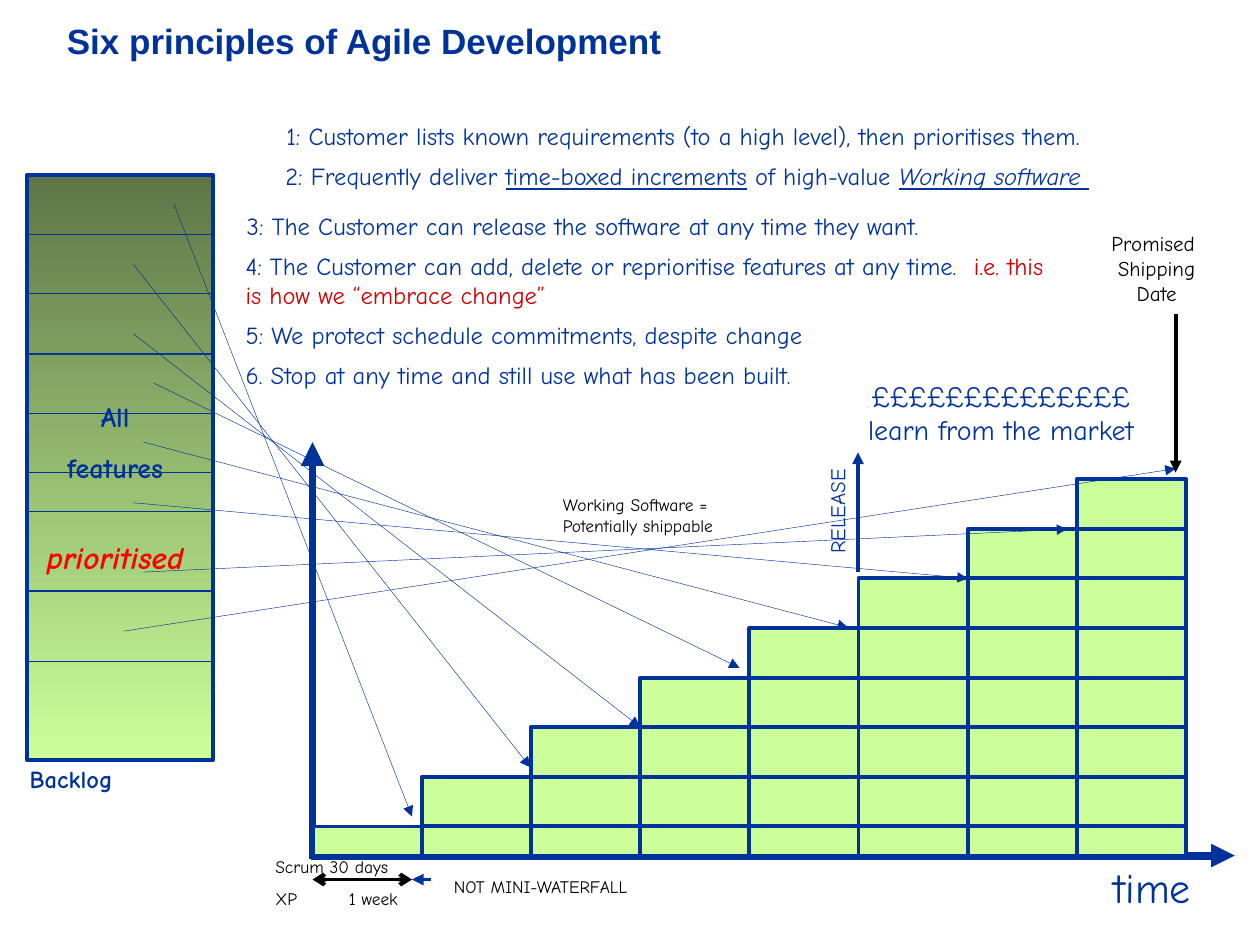
from lxml import etree
from pptx import Presentation
from pptx.dml.color import RGBColor
from pptx.enum.shapes import MSO_CONNECTOR, MSO_SHAPE
from pptx.enum.text import MSO_ANCHOR, MSO_AUTO_SIZE, PP_ALIGN
from pptx.oxml.ns import qn
from pptx.util import Pt

STRAIGHT = MSO_CONNECTOR.STRAIGHT
RECTANGLE = MSO_SHAPE.RECTANGLE
LEFT, CENTER = PP_ALIGN.LEFT, PP_ALIGN.CENTER
MIDDLE = MSO_ANCHOR.MIDDLE
GROW = MSO_AUTO_SIZE.SHAPE_TO_FIT_TEXT

BLUE, GREEN, DARK_GREEN = "003399", "CCFF99", "5E7647"
BLACK, RED, DARK_RED = "000000", "FF0000", "CC0000"


def color(hex_string):
    return RGBColor.from_string(hex_string)


def points(*lengths):
    return [Pt(length) for length in lengths]


class SlideBuilder:
    def __init__(self, slide, font="Comic Neue"):
        self.slide = slide
        self.font = font

    def add_text(self, paragraph, text, **format_values):
        """Add one run for each line of the text, with line breaks between them."""
        values = {"name": self.font, "color": BLUE, **format_values}
        run_color = color(values.pop("color"))
        values["size"] = Pt(values["size"])
        for index, line in enumerate(text.split("\n")):
            if index:
                paragraph.add_line_break()
            run = paragraph.add_run()
            run.text = line
            run.font.color.rgb = run_color
            for name, value in values.items():
                setattr(run.font, name, value)

    def fill_frame(self, frame, paragraphs, align=LEFT, space=0, **format_values):
        """Write paragraphs, each a list of (text, format values) runs or a plain string."""
        for index, runs in enumerate(paragraphs):
            paragraph = frame.add_paragraph() if index else frame.paragraphs[0]
            paragraph.alignment = align
            paragraph.space_before = Pt(space)
            if isinstance(runs, str):
                runs = [(runs, {})]
            for text, changes in runs:
                self.add_text(paragraph, text, **{**format_values, **changes})

    def title(self, box, text, **format_values):
        title = self.slide.shapes.title
        title.left, title.top, title.width, title.height = points(*box)
        title.text_frame.vertical_anchor = MIDDLE
        self.fill_frame(title.text_frame, [text], **format_values)
        title.text_frame.paragraphs[0].line_spacing = 0.9

    def text(self, box, paragraphs, rotation=0, **format_values):
        shape = self.slide.shapes.add_textbox(*points(*box))
        shape.rotation = rotation
        shape.text_frame.word_wrap = True
        shape.text_frame.auto_size = GROW
        self.fill_frame(shape.text_frame, paragraphs, **format_values)
        return shape

    def rectangle(self, box, fill=GREEN, gradient=None):
        shape = self.slide.shapes.add_shape(RECTANGLE, *points(*box))
        shape.shadow.inherit = False
        if gradient:
            shape.fill.gradient()
            shape.fill.gradient_angle = 270
            for stop, stop_color in zip(shape.fill.gradient_stops, gradient):
                stop.color.rgb = color(stop_color)
        else:
            shape.fill.solid()
            shape.fill.fore_color.rgb = color(fill)
        shape.line.color.rgb = color(BLUE)
        shape.line.width = Pt(2.25)
        return shape

    def line(self, start, end, width=2.25, line_color=BLUE, head=None, tail=None):
        connector = self.slide.shapes.add_connector(STRAIGHT, *points(*start, *end))
        connector.line.color.rgb = color(line_color)
        connector.line.width = Pt(width)
        outline = connector.line._get_or_add_ln()
        for tag, kind in (("a:headEnd", head), ("a:tailEnd", tail)):
            if kind:
                etree.SubElement(outline, qn(tag), type=kind)
        etree.SubElement(connector._element.spPr, qn("a:effectLst"))


def add_tab_stop(paragraph, position):
    tabs = etree.SubElement(paragraph._p.get_or_add_pPr(), qn("a:tabLst"))
    etree.SubElement(tabs, qn("a:tab"), pos=str(Pt(position)), algn="l")


def draw_backlog(builder):
    backlog = builder.rectangle((15.4, 100, 106.5, 334.5), gradient=(DARK_GREEN, GREEN))
    frame = backlog.text_frame
    frame.vertical_anchor = MIDDLE
    frame.margin_bottom = Pt(33)
    builder.fill_frame(frame, ["All ", "features "], align=CENTER, space=10, size=16, bold=True)
    builder.text((5, 433, 71.4, 24.5), ["Backlog"], align=CENTER, size=14, bold=True)


def draw_staircase(builder, steps=8):
    left, base_top, base_height = 178.6, 472.3, 17
    cell_width, cell_height = 62.4, 28.35
    builder.line((177.8, 488.9), (705.6, 488.9), 4.5, tail="triangle")
    builder.line((178.6, 491), (178.6, 252.7), 4.5, tail="triangle")
    for row in range(steps):
        height = cell_height if row else base_height
        for column in range(row, steps):
            builder.rectangle((left + column * cell_width, base_top - row * cell_height,
                               cell_width, height))


def draw_feature_arrows(builder):
    """Link each backlog feature to the increment that delivers it."""
    arrows = [
        ((99.4, 116.6), (235.4, 466.6)), ((76.3, 151.2), (303.1, 438.5)),
        ((76.3, 190.8), (365.8, 415.4)), ((87.8, 218.9), (422.6, 381.6)),
        ((82.1, 252.7), (484.6, 358.6)), ((76.3, 287.3), (553, 330.5)),
        ((82.1, 326.9), (609.8, 302.4)), ((70.6, 360.7), (671.8, 267.8)),
    ]
    for start, end in arrows:
        builder.line(start, end, 0.25, tail="triangle")
    for y in (133.9, 167.9, 202.3, 236.2, 270, 292.3, 337.7, 378):
        builder.line((14.4, y), (121.7, y), 0.75)


def draw_principles(builder):
    principles = [
        ((156.5, 65.5, 480, 24.5), [
            ("1: Customer lists known requirements (to a high level), then prioritises them.", {})]),
        ((156, 88.6, 490, 24.5), [
            ("2: Frequently deliver ", {}), ("time-boxed increments", {"underline": True}),
            (" of high-value ", {}), ("Working software ", {"italic": True, "underline": True})]),
        ((133.9, 117, 555, 24.5), [
            ("3: The Customer can release the software at any time they want.", {})]),
        ((133.2, 139.7, 475.9, 41), [
            ("4: The Customer can add, delete or reprioritise features at any time.  ", {}),
            ("i.e. this is how we “embrace change”", {"color": DARK_RED})]),
        ((133.2, 179.3, 580, 24.5), [
            ("5: We protect schedule commitments, despite change", {})]),
        ((133.2, 202.3, 580, 24.5), [
            ("6. Stop at any time and still use what has been built.", {})]),
    ]
    for box, runs in principles:
        builder.text(box, [runs], space=8.8, size=14)


def draw_annotations(builder):
    small = {"space": 6.2, "size": 10, "color": BLACK}
    centered = {"align": CENTER, "size": 12}
    builder.text((14.4, 303.8, 102.9, 61.9), ["prioritised"], align=CENTER,
                 size=18, bold=True, italic=True, color=RED)
    builder.text((617.8, 128.2, 86.2, 50.4), ["Promised \nShipping\nDate"],
                 color=BLACK, **centered)
    builder.line((671.8, 179.3), (671.8, 270), line_color=BLACK, tail="triangle")
    builder.text((437.1, 281.5, 82.6, 21.6), ["RELEASE"], rotation=270, **centered)
    builder.line((490.3, 326.9), (490.3, 258.5), tail="triangle")
    builder.text((450.7, 213.1, 242.6, 46.1), ["££££££££££££££\nlearn from the market"],
                 align=CENTER, size=16)
    builder.text((614.3, 488.9, 88.3, 36), ["time"], align=CENTER, size=24)
    builder.text((314.6, 278.6, 141.8, 31.7), ["Working Software = Potentially shippable"], **small)
    builder.text((252.3, 496.8, 141.8, 19.4), ["NOT MINI-WATERFALL"], **small)
    lengths = builder.text((150.3, 485.8, 85, 37.4), ["Scrum 30 days", "XP\t1 week"], **small)
    add_tab_stop(lengths.text_frame.paragraphs[1], 42)
    builder.line((178.6, 502.6), (235.4, 502.6), line_color=BLACK, head="arrow", tail="arrow")
    builder.line((246.2, 502.6), (235.4, 502.6), tail="triangle")


def main():
    presentation = Presentation()
    presentation.slide_width, presentation.slide_height = points(720, 540)
    title_only = presentation.slide_layouts[5]
    builder = SlideBuilder(presentation.slides.add_slide(title_only))
    builder.title((31, 0, 648, 49), "Six principles of Agile Development",
                  name="Arial", size=20, bold=True)
    draw_backlog(builder)
    draw_staircase(builder)
    draw_feature_arrows(builder)
    draw_principles(builder)
    draw_annotations(builder)
    presentation.save("out.pptx")


if __name__ == "__main__":
    main()
